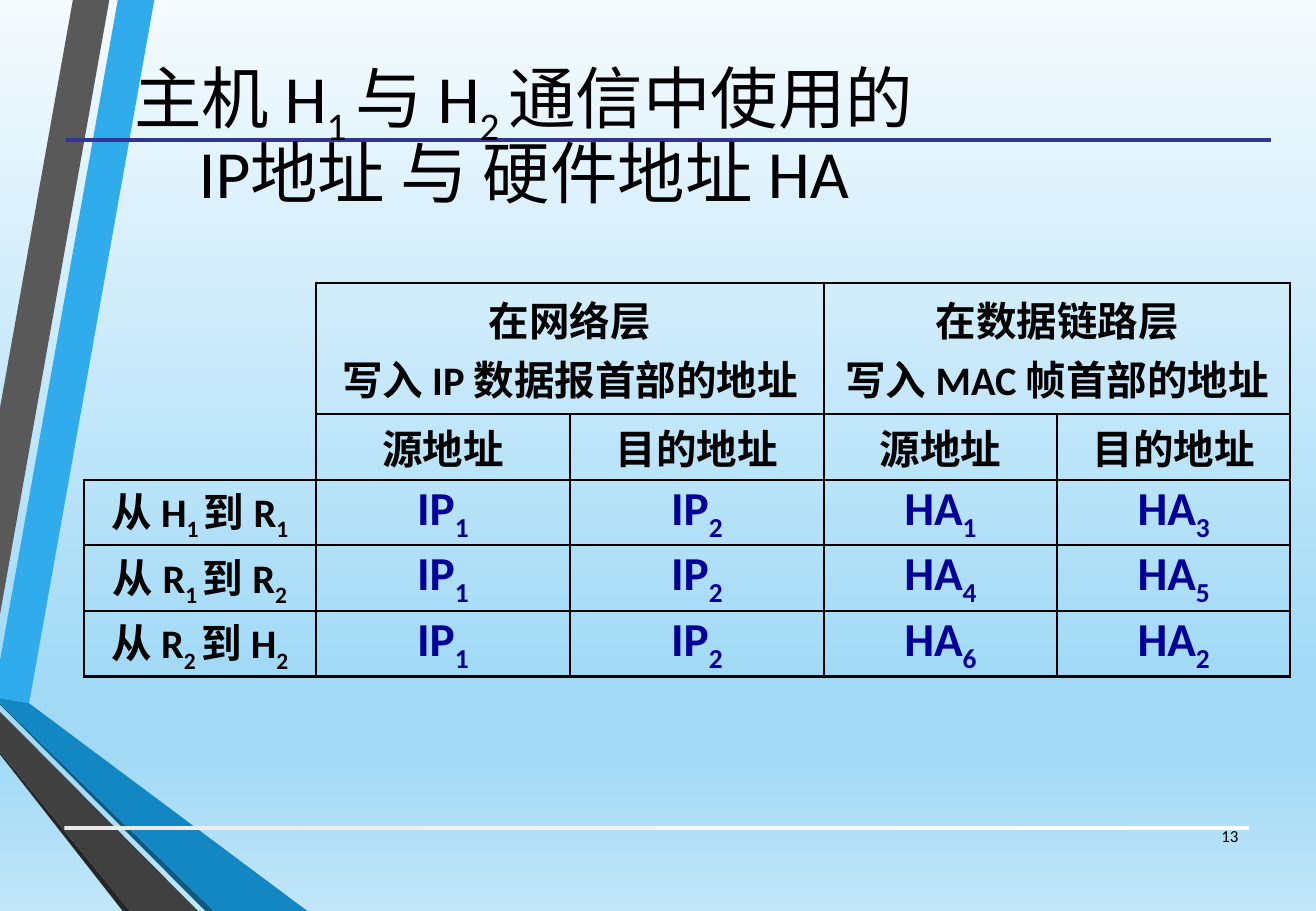
import pptx
import pptx.dml.color
import pptx.enum.shapes
import pptx.enum.text
import pptx.oxml
import pptx.oxml.ns
import pptx.util

W, H = 10.83, 7.5
FONT = "Calibri"
COLORS = {
    "black": "000000", "address": "000099", "rule": "333399",
    "sky": "30ACEC", "sky_dark": "1287C3", "sky_edge": "0C5A82",
    "gray": "595959", "gray_dark": "404040", "gray_edge": "262626",
}
BACKDROP = [(0, "F5FBFE"), (74, "A2DAF6"), (83, "A2DAF6"), (100, "C1E6F9")]
FOOTER = [(0, "EBEBEB"), (100, "FFFFFF")]
RIBBONS = [
    ("sky", [(0, 544), (0, 575), (24, 579), (127, 0), (97, 0)]),
    ("gray", [(90, 0), (60, 0), (0, 336), (0, 506)]),
    ("gray_edge", [(0, 619), (0, 621), (101, 750), (107, 750)]),
    ("sky_edge", [(0, 579), (0, 580), (169, 750), (176, 750)]),
    ("sky_dark", [(0, 579), (176, 750), (253, 750), (24, 579), (0, 575)]),
    ("gray_dark", [(0, 619), (107, 750), (163, 750), (0, 586)]),
]
TITLE = ["主机 H|1 |与 H|2 |通信中使用的", "IP地址 与 硬件地址 HA"]
COL_SHARES = [1.91, 2.09, 2.09, 1.92, 1.92]
ROW_SHARES = [2, 1, 1, 1, 1]
GROUPS = {
    1: ["在网络层", "写入 IP 数据报首部的地址"],
    3: ["在数据链路层", "写入 MAC 帧首部的地址"],
}
HEADS = ["源地址", "目的地址"] * 2
HOPS = [
    ["从 H|1 |到 R|1", "IP|1", "IP|2", "HA|1", "HA|3"],
    ["从 R|1 |到 R|2", "IP|1", "IP|2", "HA|4", "HA|5"],
    ["从 R|2 |到 H|2", "IP|1", "IP|2", "HA|6", "HA|2"],
]
ALIGN = pptx.enum.text.PP_ALIGN
MIDDLE = pptx.enum.text.MSO_ANCHOR.MIDDLE


def rgb(name):
    """Return the named colour."""
    return pptx.dml.color.RGBColor.from_string(COLORS[name])


def inches(*values):
    """Convert several lengths given in inches."""
    return [pptx.util.Inches(v) for v in values]


def write(tf, lines, size, color="black", bold=False, align=ALIGN.CENTER, spacing=None):
    """Write lines in which every second piece between bars is a subscript."""
    for i, line in enumerate(lines):
        p = tf.add_paragraph() if i else tf.paragraphs[0]
        p.alignment = align
        if spacing:
            p.line_spacing = spacing
        for n, piece in enumerate(line.split("|")):
            r = p.add_run()
            r.text = piece
            r.font.name = FONT
            r.font.size = pptx.util.Pt(size)
            r.font.bold = bold
            r.font.color.rgb = rgb(color)
            if n % 2:
                r.font._element.set("baseline", "-25000")


def set_gradient(fill, element, stops, angle):
    """Give a fill a linear gradient with any number of stops."""
    fill.gradient()
    fill.gradient_angle = angle
    stop_list = element.xpath(".//a:gsLst")[0]
    for old in list(stop_list):
        stop_list.remove(old)
    for pos, color in stops:
        stop_list.append(pptx.oxml.parse_xml(
            f'<a:gs {pptx.oxml.ns.nsdecls("a")} pos="{pos * 1000}">'
            f'<a:srgbClr val="{color}"/></a:gs>'))


def add_ribbons(s, box):
    """Draw the folded ribbons, in hundredths of an inch from the box corner."""
    x, y = inches(*box[:2])
    for color, points in RIBBONS:
        builder = s.shapes.build_freeform(*points[0], scale=pptx.util.Inches(0.01))
        builder.add_line_segments(points[1:], close=True)
        sp = builder.convert_to_shape(x, y)
        sp.shadow.inherit = False
        sp.fill.solid()
        sp.fill.fore_color.rgb = rgb(color)
        sp.line.fill.background()


def add_title_rule(s, box):
    """Draw the straight rule along the top of the box."""
    x, y, w, _ = box
    rule = s.shapes.add_connector(
        pptx.enum.shapes.MSO_CONNECTOR.STRAIGHT, *inches(x, y, x + w, y))
    rule.line.color.rgb = rgb("rule")
    rule.line.width = pptx.util.Pt(2.25)
    rule.element.spPr.append(
        pptx.oxml.parse_xml(f'<a:effectLst {pptx.oxml.ns.nsdecls("a")}/>'))


def add_footer_bar(s, box):
    """Draw the pale bar above the page number."""
    bar = s.shapes.add_shape(pptx.enum.shapes.MSO_SHAPE.RECTANGLE, *inches(*box))
    bar.shadow.inherit = False
    set_gradient(bar.fill, bar.element.spPr, FOOTER, 0)
    bar.line.fill.background()


def add_text(s, box, lines, size, **style):
    """Place a wrapped, vertically centred text box."""
    tf = s.shapes.add_textbox(*inches(*box)).text_frame
    tf.word_wrap = True
    tf.vertical_anchor = MIDDLE
    write(tf, lines, size, **style)


def set_borders(cell, visible):
    """Draw the listed sides of a cell and hide the others."""
    props = cell._tc.get_or_add_tcPr()
    for i, side in enumerate("LRTB"):
        paint = (f'<a:solidFill><a:srgbClr val="{COLORS["black"]}"/></a:solidFill>'
                 if side in visible else "<a:noFill/>")
        props.insert(i, pptx.oxml.parse_xml(
            f'<a:ln{side} {pptx.oxml.ns.nsdecls("a")} w="19050">{paint}</a:ln{side}>'))


def add_address_table(s, box):
    """Build the table of addresses used on each hop."""
    x, y, w, h = box
    table = s.shapes.add_table(
        len(ROW_SHARES), len(COL_SHARES), *inches(x, y, w, h)).table
    table.first_row = table.horz_banding = False
    for col, share in zip(table.columns, COL_SHARES):
        col.width = pptx.util.Inches(w * share / sum(COL_SHARES))
    for row, share in zip(table.rows, ROW_SHARES):
        row.height = pptx.util.Inches(h * share / sum(ROW_SHARES))
    for r in range(len(ROW_SHARES)):
        for c in range(len(COL_SHARES)):
            cell = table.cell(r, c)
            cell.fill.background()
            cell.vertical_anchor = MIDDLE
            cell.margin_left = cell.margin_right = pptx.util.Inches(0.07)
            cell.margin_top = cell.margin_bottom = 0
            set_borders(cell, "RB" if r < 2 and c == 0 else "LRTB")
    table.cell(0, 0).merge(table.cell(1, 0))
    for c, lines in GROUPS.items():
        table.cell(0, c).merge(table.cell(0, c + 1))
        write(table.cell(0, c).text_frame, lines, 24, bold=True)
    for c, head in enumerate(HEADS, 1):
        write(table.cell(1, c).text_frame, [head], 24, bold=True)
    for r, hop in enumerate(HOPS, 2):
        for c, text in enumerate(hop):
            size, color = (28, "address") if c else (24, "black")
            write(table.cell(r, c).text_frame, [text], size, color, bold=True)


def main():
    """Build the slide and save it."""
    prs = pptx.Presentation()
    prs.slide_width, prs.slide_height = inches(W, H)
    s = prs.slides.add_slide(prs.slide_layouts[6])
    set_gradient(s.background.fill, s.element, BACKDROP, 270)
    add_ribbons(s, (0, 0, W, H))
    add_footer_bar(s, (0.53, 6.8, 0.9 * W, 0.03))
    add_title_rule(s, (0.54, 1.15, 9.92, 0))
    add_text(s, (0, 0.29, 8.62, 1.65), TITLE, 40, spacing=0.9)
    add_address_table(s, (0.69, 2.33, 9.93, 3.24))
    add_text(s, (9.78, 6.68, 0.51, 0.4), ["13"], 10, align=ALIGN.RIGHT)
    prs.save("out.pptx")


if __name__ == "__main__":
    main()
